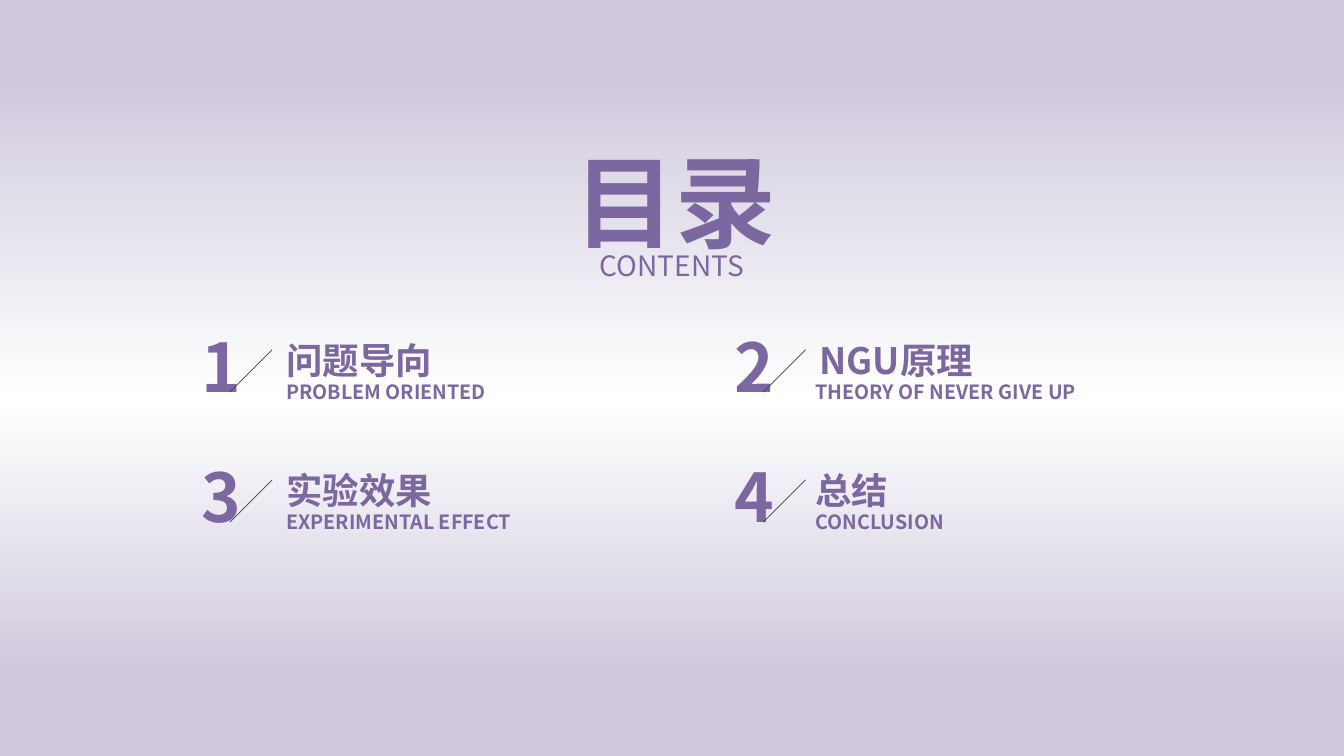
from lxml.etree import SubElement
from pptx import Presentation
from pptx.dml.color import RGBColor
from pptx.enum.shapes import MSO_CONNECTOR
from pptx.enum.text import MSO_ANCHOR, MSO_AUTO_SIZE, PP_ALIGN
from pptx.oxml import parse_xml
from pptx.oxml.ns import nsdecls, qn
from pptx.util import Inches, Pt

COLORS = {"purple": "7B68A1", "lilac": "D0C9DD", "white": "FFFFFF", "slash": "404040"}
FONT = "Noto Sans CJK SC"
FORMATS = {
    "title": {"size": Pt(72), "bold": True},
    "subtitle": {"size": Pt(20), "bold": False},
    "number": {"size": Pt(48), "bold": True},
    "heading": {"size": Pt(26), "bold": True},
    "caption": {"size": Pt(14), "bold": True},
}


def write(box, text, role, align=PP_ALIGN.LEFT, wrap=False):
    frame = box.text_frame
    frame.auto_size = MSO_AUTO_SIZE.NONE
    frame.word_wrap = wrap
    frame.vertical_anchor = MSO_ANCHOR.TOP
    paragraph = frame.paragraphs[0]
    paragraph.alignment = align
    run = paragraph.add_run()
    run.text = text
    for name, value in FORMATS[role].items():
        setattr(run.font, name, value)
    run.font.name = FONT
    run.font.color.rgb = RGBColor.from_string(COLORS["purple"])
    SubElement(run.font._element, qn("a:ea")).set("typeface", FONT)
    return paragraph


def add_text(left, top, width, height, *content, **layout):
    box = slide.shapes.add_textbox(Inches(left), Inches(top), Inches(width), Inches(height))
    return write(box, *content, **layout)


deck = Presentation()
deck.slide_width, deck.slide_height = Inches(13.33), Inches(7.5)
slide = deck.slides.add_slide(deck.slide_layouts[5])

stops = "".join(
    f'<a:gs pos="{position * 1000}"><a:srgbClr val="{COLORS[color]}"/></a:gs>'
    for position, color in [(10, "lilac"), (53, "white"), (89, "lilac")]
)
backdrop = slide.background.fill
backdrop.solid()
solid = slide.background._cSld.bg.bgPr.find(qn("a:solidFill"))
solid.getparent().replace(solid, parse_xml(
    f'<a:gradFill {nsdecls("a")} rotWithShape="1"><a:gsLst>{stops}</a:gsLst>'
    '<a:lin ang="5400000" scaled="0"/></a:gradFill>'
))

title = slide.shapes.title
title.left, title.top = Inches(5.58), Inches(1.34)
title.width, title.height = Inches(2.18), Inches(1.11)
title.text_frame.margin_left, title.text_frame.margin_right = Inches(0.05), Inches(0)
write(title, "目录", "title", PP_ALIGN.CENTER)

subtitle = add_text(5.85, 2.25, 1.72, 0.57, "CONTENTS", "subtitle", PP_ALIGN.JUSTIFY, wrap=True)
subtitle.line_spacing = 1.5

chapters = [
    ("问题导向", "PROBLEM ORIENTED", 2.74, 1.54),
    ("NGU原理", "THEORY OF NEVER GIVE UP", 8.03, 1.63),
    ("实验效果", "EXPERIMENTAL EFFECT", 2.74, 1.54),
    ("总结", "CONCLUSION", 7.99, 0.87),
]
caption_lefts = [2.74, 7.99]
for index, (heading, caption, heading_left, heading_width) in enumerate(chapters):
    row, column = divmod(index, 2)
    left, top = 1.94 + 5.29 * column, 3.18 + 1.29 * row
    add_text(heading_left, top + 0.13, heading_width, 0.5, heading, "heading")
    add_text(caption_lefts[column], top + 0.54, 3.87, 0.3, caption, "caption", wrap=True)
    add_text(left, top, 0.51, 0.84, str(index + 1), "number", PP_ALIGN.CENTER)
    slash = slide.shapes.add_connector(
        MSO_CONNECTOR.STRAIGHT,
        Inches(left + 0.76), Inches(top + 0.29), Inches(left + 0.34), Inches(top + 0.71),
    )
    slash.line.width = Pt(0.5)
    slash.line.color.rgb = RGBColor.from_string(COLORS["slash"])
    SubElement(slash._element.spPr, qn("a:effectLst"))

deck.save("out.pptx")
